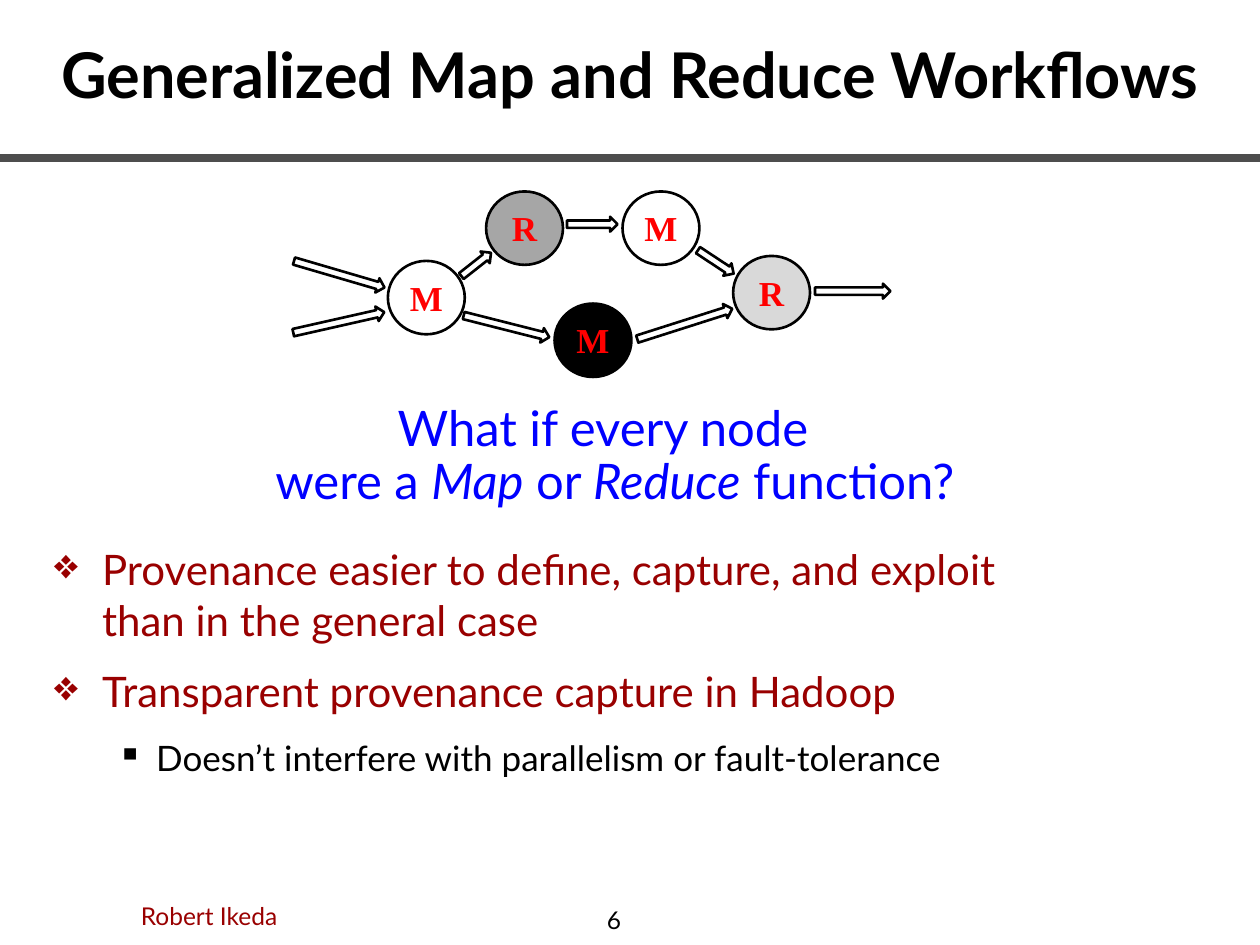
from lxml import etree
from pptx import Presentation
from pptx.dml.color import RGBColor
from pptx.enum.shapes import MSO_CONNECTOR, MSO_SHAPE
from pptx.enum.text import MSO_ANCHOR, PP_ALIGN
from pptx.oxml.ns import qn
from pptx.util import Cm, Pt

BLACK = RGBColor(0x00, 0x00, 0x00)
WHITE = RGBColor(0xFF, 0xFF, 0xFF)
GRAY = RGBColor(0xA6, 0xA6, 0xA6)
LIGHT = RGBColor(0xD9, 0xD9, 0xD9)
RULE = RGBColor(0x4D, 0x4D, 0x4D)
RED = RGBColor(0xFF, 0x00, 0x00)
BLUE = RGBColor(0x00, 0x00, 0xFF)
MAROON = RGBColor(0x99, 0x00, 0x00)

# Content (lengths in cm)
TITLE = "Generalized Map and Reduce Workflows"
QUESTION = [("What if every node\vwere a ", False), ("Map", True), (" or ", False),
            ("Reduce", True), (" function?", False)]
# text, bullet, left margin, hanging indent, size, colour, space before in points
BULLETS = [
    ("Provenance easier to define, capture, and exploit\vthan in the general case",
     "❖", 0.97, 0.97, 24, MAROON, 19),
    ("Transparent provenance capture in Hadoop", "❖", 0.97, 0.97, 24, MAROON, 6),
    ("Doesn’t interfere with parallelism or fault-tolerance",
     "▪", 2.06, 0.79, 20, BLACK, 6),
]
# label, left, top, fill
NODES = [("M", 11.18, 6.12, BLACK), ("M", 7.82, 5.26, WHITE), ("R", 9.8, 3.86, GRAY),
         ("M", 12.55, 3.86, WHITE), ("R", 14.78, 5.16, LIGHT)]
NODE_W, NODE_H = 1.55, 1.48
# left, top, length, rotation in degrees
ARROWS = [(5.89, 5.38, 1.9, 16.3), (5.89, 6.35, 1.88, 347.3), (9.22, 5.18, 0.76, 321.8),
          (9.32, 6.43, 1.78, 14.2), (12.8, 6.38, 2.01, 342.3), (14, 5.13, 0.86, 33.4),
          (16.43, 5.72, 1.52, 0), (11.43, 4.37, 1.02, 0)]
ARROW_H = 0.3
LABEL_W, LABEL_H = 1.17, 1.12


def style(p, size, color, name="Lato", bold=False):
    for r in p.runs:
        r.font.name, r.font.size, r.font.bold = name, Pt(size), bold
        r.font.color.rgb = color


def add_text(s, box, text, size, color, align=PP_ALIGN.LEFT, anchor=MSO_ANCHOR.TOP,
             wrap=True, **font):
    tf = s.shapes.add_textbox(*map(Cm, box)).text_frame
    tf.word_wrap, tf.vertical_anchor = wrap, anchor
    tf.text = text
    p = tf.paragraphs[0]
    p.alignment = align
    style(p, size, color, **font)
    return tf


def add_outlined(s, kind, box, fill=None):
    sp = s.shapes.add_shape(kind, *map(Cm, box))
    sp.shadow.inherit = False
    if fill is None:
        sp.fill.background()
    else:
        sp.fill.solid()
        sp.fill.fore_color.rgb = fill
    sp.line.color.rgb, sp.line.width = BLACK, Pt(1.5)
    return sp


def set_indent(p, margin, hanging, bullet=None, color=None):
    pPr = p._p.get_or_add_pPr()
    pPr.set("marL", str(Cm(margin)))
    pPr.set("indent", str(-Cm(hanging)))
    if bullet:
        clr = etree.SubElement(pPr, qn("a:buClr"))
        etree.SubElement(clr, qn("a:srgbClr"), val=str(color))
        etree.SubElement(pPr, qn("a:buChar"), char=bullet)


prs = Presentation()
prs.slide_width, prs.slide_height = Cm(25.4), Cm(19.05)
s = prs.slides.add_slide(prs.slide_layouts[5])

# Title and rule
title = s.shapes.title
title.left, title.top, title.width, title.height = Cm(0), Cm(0), Cm(25.4), Cm(2.97)
title.text_frame.text = TITLE
title.text_frame.vertical_anchor = MSO_ANCHOR.MIDDLE
title.text_frame.paragraphs[0].alignment = PP_ALIGN.CENTER
style(title.text_frame.paragraphs[0], 36, BLACK, bold=True)
rule = s.shapes.add_connector(MSO_CONNECTOR.STRAIGHT, Cm(0), Cm(3.18), Cm(25.4), Cm(3.18))
rule.line.color.rgb, rule.line.width = RULE, Pt(4.5)
etree.SubElement(rule._element.spPr, qn("a:effectLst"))

# Question and bullets
tf = add_text(s, (0.84, 8.03, 22.63, 8.2), "", 28, BLUE, PP_ALIGN.CENTER)
p = tf.paragraphs[0]
p.text = "".join(text for text, _ in QUESTION[:1])
p.line_spacing = 0.9
set_indent(p, 0.48, 0.48)
for text, _ in QUESTION[1:]:
    p.add_run().text = text
style(p, 28, BLUE)
for r in p.runs:
    r.font.italic = (r.text, True) in QUESTION
for text, bullet, margin, hanging, size, color, before in BULLETS:
    p = tf.add_paragraph()
    p.text = text
    p.space_before, p.space_after = Pt(before), Pt(6)
    set_indent(p, margin, hanging, bullet, color)
    style(p, size, color)

# Workflow diagram
for _, left, top, fill in NODES:
    add_outlined(s, MSO_SHAPE.OVAL, (left, top, NODE_W, NODE_H), fill)
for left, top, length, rotation in ARROWS:
    arrow = add_outlined(s, MSO_SHAPE.RIGHT_ARROW, (left, top, length, ARROW_H))
    arrow.rotation = rotation
for label, left, top, _ in NODES:
    box = (left + (NODE_W - LABEL_W) / 2, top + (NODE_H - LABEL_H) / 2, LABEL_W, LABEL_H)
    add_text(s, box, label, 20, RED, PP_ALIGN.CENTER, wrap=False,
             name="Times New Roman", bold=True)

# Footer
add_text(s, (2.59, 18.03, 4.32, 0.69), "Robert Ikeda", 14, MAROON)
add_text(s, (9.42, 18.03, 5.92, 1.02), "6", 14, BLACK, PP_ALIGN.CENTER, MSO_ANCHOR.MIDDLE)

prs.save("out.pptx")
